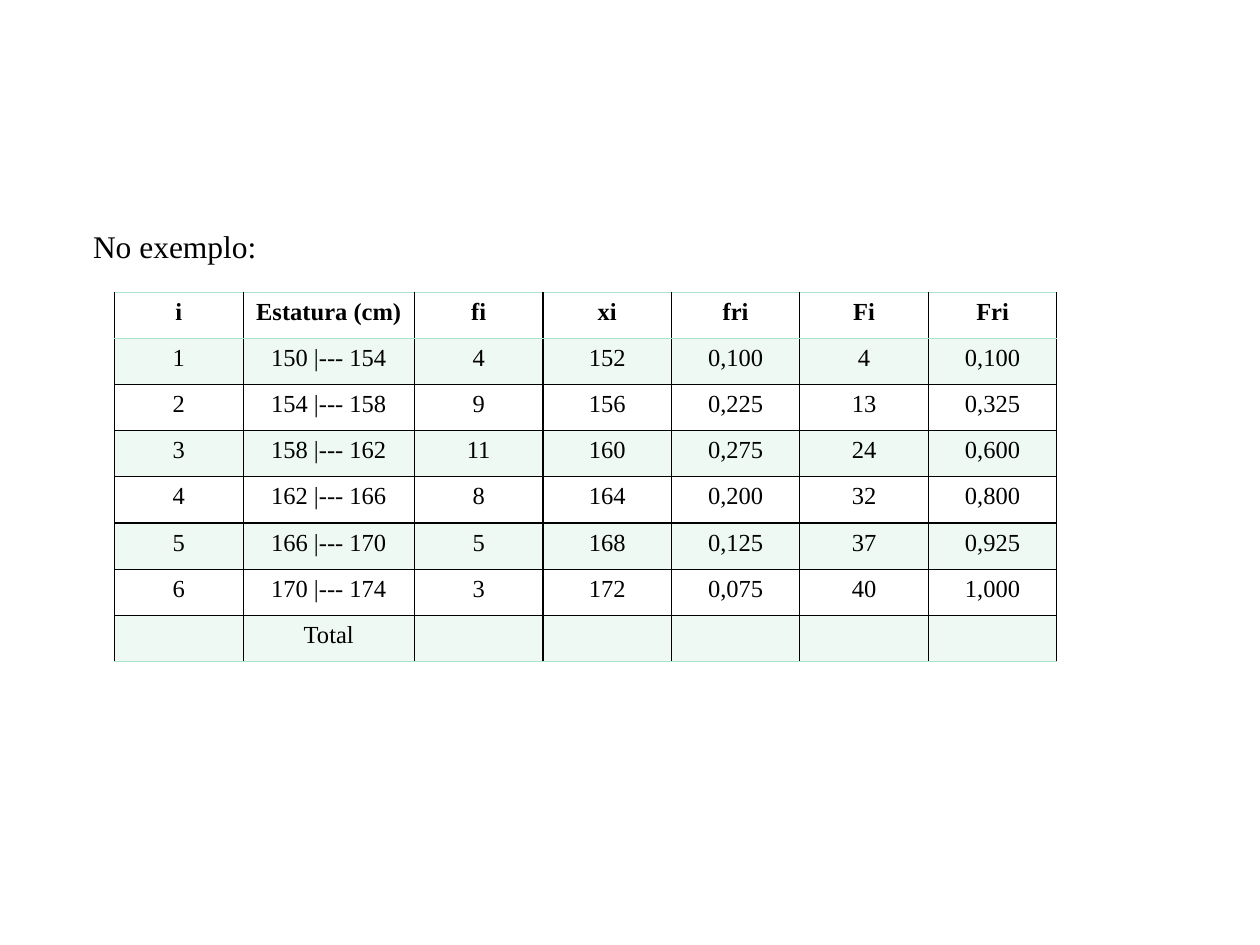
import dataclasses

import lxml.etree
import pptx
import pptx.dml.color
import pptx.enum.text
import pptx.oxml.ns
import pptx.util

Inches = pptx.util.Inches
Pt = pptx.util.Pt
Align = pptx.enum.text.PP_ALIGN
qn = pptx.oxml.ns.qn

FACE = "Times New Roman"
BLACK = "000000"
MINT = "AAE2CA"


@dataclasses.dataclass
class Edge:
    hue: str
    width: float


GRID = Edge(BLACK, 0.75)
RULE = Edge(MINT, 0.45)

HEADS = ["i", "Estatura (cm)", "fi", "xi", "fri", "Fi", "Fri"]
ROWS = [
    ["1", "150 |--- 154", "4", "152", "0,100", "4", "0,100"],
    ["2", "154 |--- 158", "9", "156", "0,225", "13", "0,325"],
    ["3", "158 |--- 162", "11", "160", "0,275", "24", "0,600"],
    ["4", "162 |--- 166", "8", "164", "0,200", "32", "0,800"],
    ["5", "166 |--- 170", "5", "168", "0,125", "37", "0,925"],
    ["6", "170 |--- 174", "3", "172", "0,075", "40", "1,000"],
    ["", "Total", "", "", "", "", ""],
]


def color(code: str) -> pptx.dml.color.RGBColor:
    return pptx.dml.color.RGBColor.from_string(code)


def style(para, size: float, align: Align, bold: bool = False) -> None:
    para.alignment = align
    font = para.font
    font.name = FACE
    font.size = Pt(size)
    font.bold = bold
    font.color.rgb = color(BLACK)


def border(cell, side: str, edge: Edge) -> None:
    props = cell._tc.get_or_add_tcPr()
    line = lxml.etree.SubElement(props, qn(f"a:ln{side}"), w=str(Pt(edge.width)))
    fill = lxml.etree.SubElement(line, qn("a:solidFill"))
    lxml.etree.SubElement(fill, qn("a:srgbClr"), val=edge.hue)


def tint(cell, code: str, alpha: int) -> None:
    cell.fill.solid()
    cell.fill.fore_color.rgb = color(code)
    tone = cell._tc.tcPr.find(qn("a:solidFill")).find(qn("a:srgbClr"))
    lxml.etree.SubElement(tone, qn("a:alpha"), val=str(alpha * 1000))


def draw_cell(cell, text: str, row: int, last: int) -> None:
    cell.margin_left = cell.margin_right = Inches(0.07)
    cell.margin_top = cell.margin_bottom = Inches(0.05)
    cell.text = text
    style(cell.text_frame.paragraphs[0], 14, Align.CENTER, row == 0)
    border(cell, "L", GRID)
    border(cell, "R", GRID)
    border(cell, "T", RULE if row < 2 else GRID)
    border(cell, "B", RULE if row in (0, last) else GRID)
    if row % 2:
        tint(cell, MINT, 20)
    else:
        cell.fill.background()


def draw_table(slide, data: list[list[str]]) -> None:
    frame = slide.shapes.add_table(
        len(data), len(HEADS), Inches(0.91), Inches(2.32), Inches(7.48), Inches(2.93)
    )
    table = frame.table
    table.first_row = table.horz_banding = False
    for col, head in zip(table.columns, HEADS):
        col.width = Inches(1.36 if head == "Estatura (cm)" else 1.02)
    for row, texts in enumerate(data):
        for col, text in enumerate(texts):
            draw_cell(table.cell(row, col), text, row, len(data) - 1)


def draw_title(slide, text: str) -> None:
    box = slide.shapes.add_textbox(
        Inches(0.64), Inches(1.75), Inches(1.56), Inches(0.4)
    )
    frame = box.text_frame
    frame.word_wrap = False
    frame.text = text
    para = frame.paragraphs[0]
    style(para, 18, Align.JUSTIFY)
    para.space_before = para.space_after = Pt(4.5)


def main() -> None:
    deck = pptx.Presentation()
    deck.slide_width = Inches(10)
    deck.slide_height = Inches(7.5)
    slide = deck.slides.add_slide(deck.slide_layouts[6])
    draw_table(slide, [HEADS, *ROWS])
    draw_title(slide, "No exemplo: ")
    deck.save("out.pptx")


if __name__ == "__main__":
    main()
